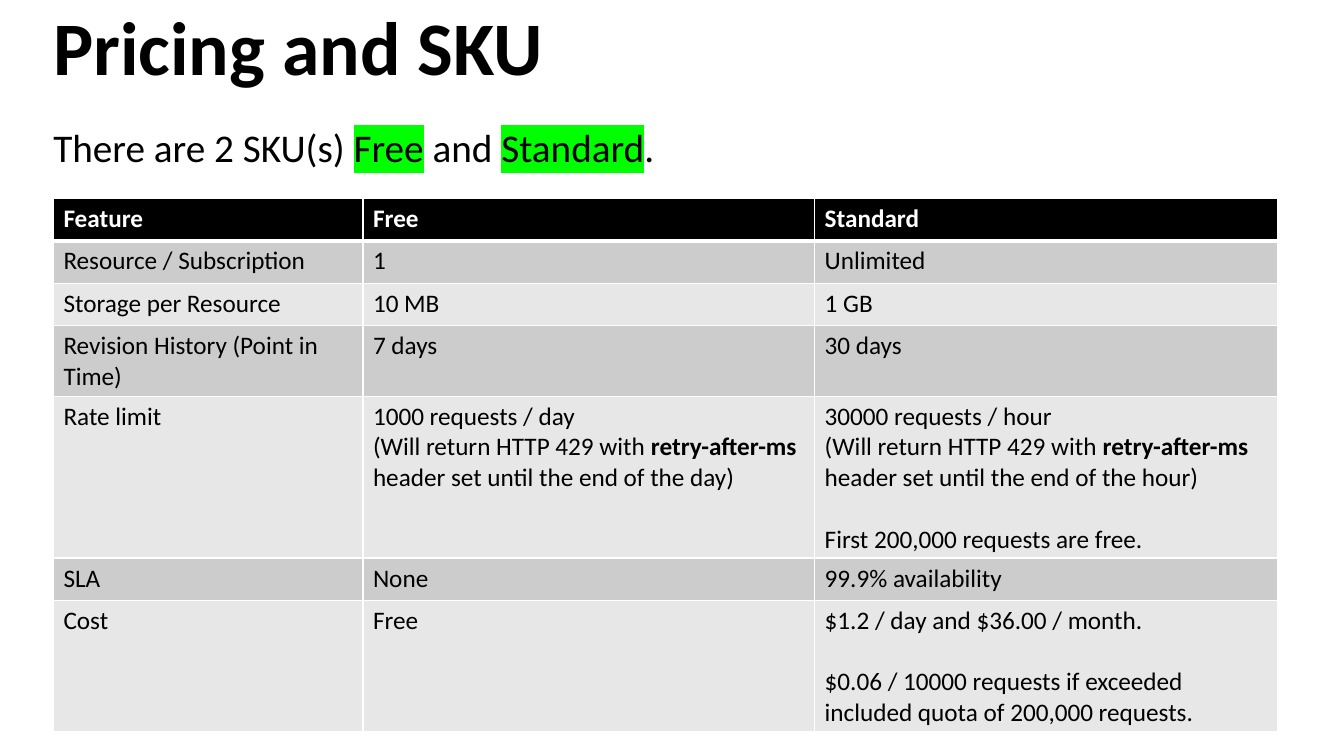
from dataclasses import dataclass

from lxml import etree
from pptx import Presentation
from pptx.dml.color import RGBColor
from pptx.enum import text as tx
from pptx.oxml import ns
from pptx.util import Inches, Pt


@dataclass(frozen=True)
class Theme:
    font: str = "Calibri"
    ink: str = "000000"
    paper: str = "FFFFFF"
    mark: str = "00FF00"
    bands: tuple = ("CCCCCC", "E7E7E7")
    title: int = 54
    lead: int = 28
    body: int = 18
    gap: int = 22


def tint(parent, tag, color):
    node = etree.SubElement(parent, ns.qn(tag))
    etree.SubElement(node, ns.qn("a:srgbClr"), val=color)


def write(frame, words, *, font, size, color, bold=False, mark=None, lead=None, before=0, gap=0):
    frame.word_wrap = True
    for n, block in enumerate(words.split("\n\n")):
        for m, line in enumerate(block.split("\n")):
            para = frame.add_paragraph() if n or m else frame.paragraphs[0]
            if lead:
                para.line_spacing = lead
            para.space_before = Pt(gap if n and not m else before)
            for i, part in enumerate(line.split("*")):
                run = para.add_run()
                run.text = part
                face = run.font
                face.size = Pt(size)
                face.color.rgb = RGBColor.from_string(color)
                strong = i % 2 == 1
                face.bold = bold or (strong and not mark)
                if strong and mark:
                    tint(run._r.get_or_add_rPr(), "a:highlight", mark)
                face.name = font


class Deck:
    def __init__(self, theme):
        self.theme = theme
        self.file = Presentation()
        self.file.slide_width = Inches(13.33)
        self.file.slide_height = Inches(7.5)
        self.slide = self.file.slides.add_slide(self.file.slide_layouts[6])

    def label(self, words, box, anchor=tx.MSO_ANCHOR.TOP, **style):
        frame = self.slide.shapes.add_textbox(*map(Inches, box)).text_frame
        frame.vertical_anchor = anchor
        write(frame, words, font=self.theme.font, color=self.theme.ink, lead=0.9, **style)

    def edge(self, cell, head):
        props = cell._tc.get_or_add_tcPr()
        for i, side in enumerate("LRTB"):
            width = 3 if head and side == "B" else 1
            line = etree.Element(ns.qn(f"a:ln{side}"), w=str(Pt(width)))
            tint(line, "a:solidFill", self.theme.paper)
            props.insert(i, line)

    def grid(self, rows, box, cols, heights):
        look = self.theme
        table = self.slide.shapes.add_table(len(rows), len(cols), *map(Inches, box)).table
        for col, width in zip(table.columns, cols):
            col.width = Inches(width)
        for r, (row, height) in enumerate(zip(rows, heights)):
            table.rows[r].height = Inches(height)
            head = r == 0
            shade = look.ink if head else look.bands[(r - 1) % 2]
            for c, words in enumerate(row):
                cell = table.cell(r, c)
                cell.fill.solid()
                cell.fill.fore_color.rgb = RGBColor.from_string(shade)
                self.edge(cell, head)
                write(cell.text_frame, words, font=look.font, size=look.body, bold=head,
                      color=look.paper if head else look.ink, gap=look.gap)


def limit(count, span):
    return (f"{count} requests / {span}\n(Will return HTTP 429 with *retry-after-ms*"
            f" header set until the end of the {span})")


def main():
    theme = Theme()
    deck = Deck(theme)
    deck.label("Pricing and SKU", (0.43, 0, 11.5, 1.01), tx.MSO_ANCHOR.MIDDLE,
               size=theme.title, bold=True)
    deck.label("There are 2 SKU(s) *Free* and *Standard*.", (0.43, 1.23, 11.68, 0.52),
               size=theme.lead, mark=theme.mark, before=10)
    rows = [
        ("Feature", "Free", "Standard"),
        ("Resource / Subscription", "1", "Unlimited"),
        ("Storage per Resource", "10 MB", "1 GB"),
        ("Revision History (Point in Time)", "7 days", "30 days"),
        ("Rate limit", limit(1000, "day"),
         limit(30000, "hour") + "\n\nFirst 200,000 requests are free."),
        ("SLA", "None", "99.9% availability"),
        ("Cost", "Free", "$1.2 / day and $36.00 / month.\n\n"
         "$0.06 / 10000 requests if exceeded included quota of 200,000 requests."),
    ]
    deck.grid(rows, (0.53, 1.97, 12.15, 5.29), (3.07, 4.48, 4.59),
              (0.42, 0.42, 0.42, 0.42, 1.47, 0.42, 1.2))
    deck.file.save("out.pptx")


if __name__ == "__main__":
    main()
